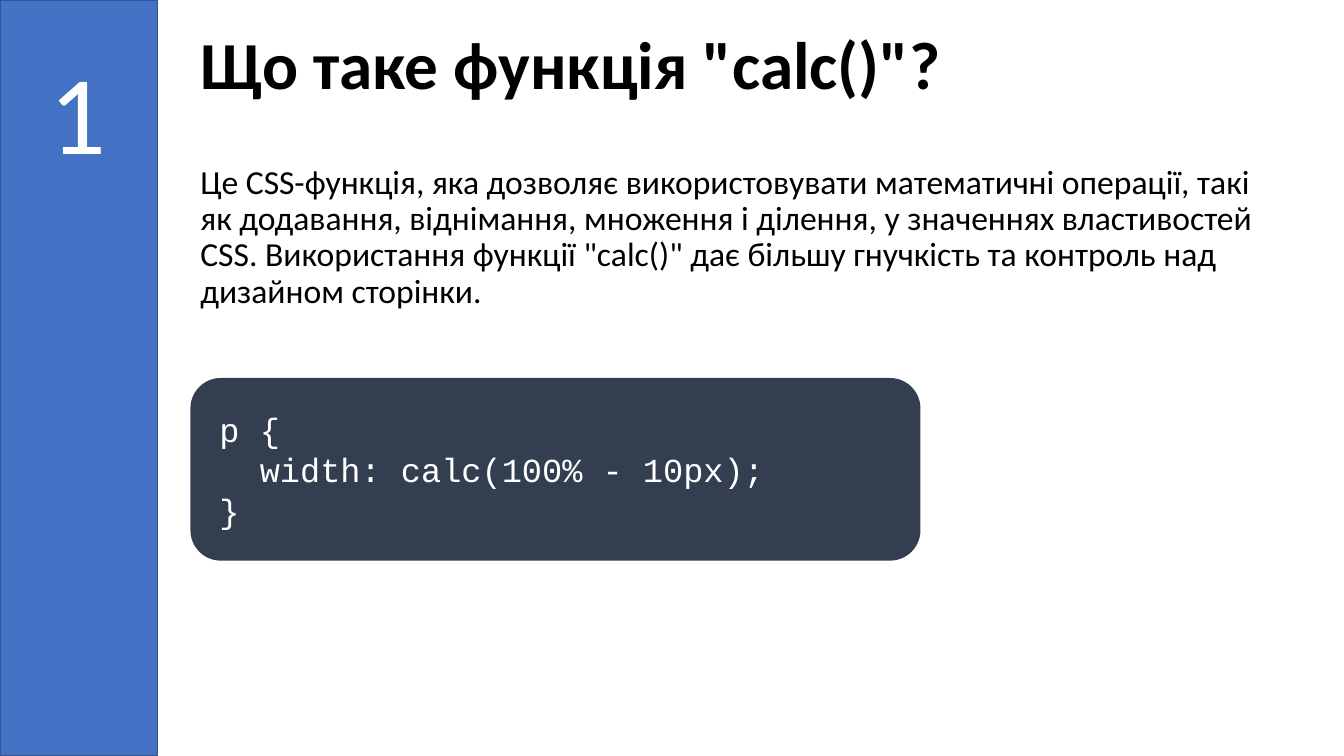
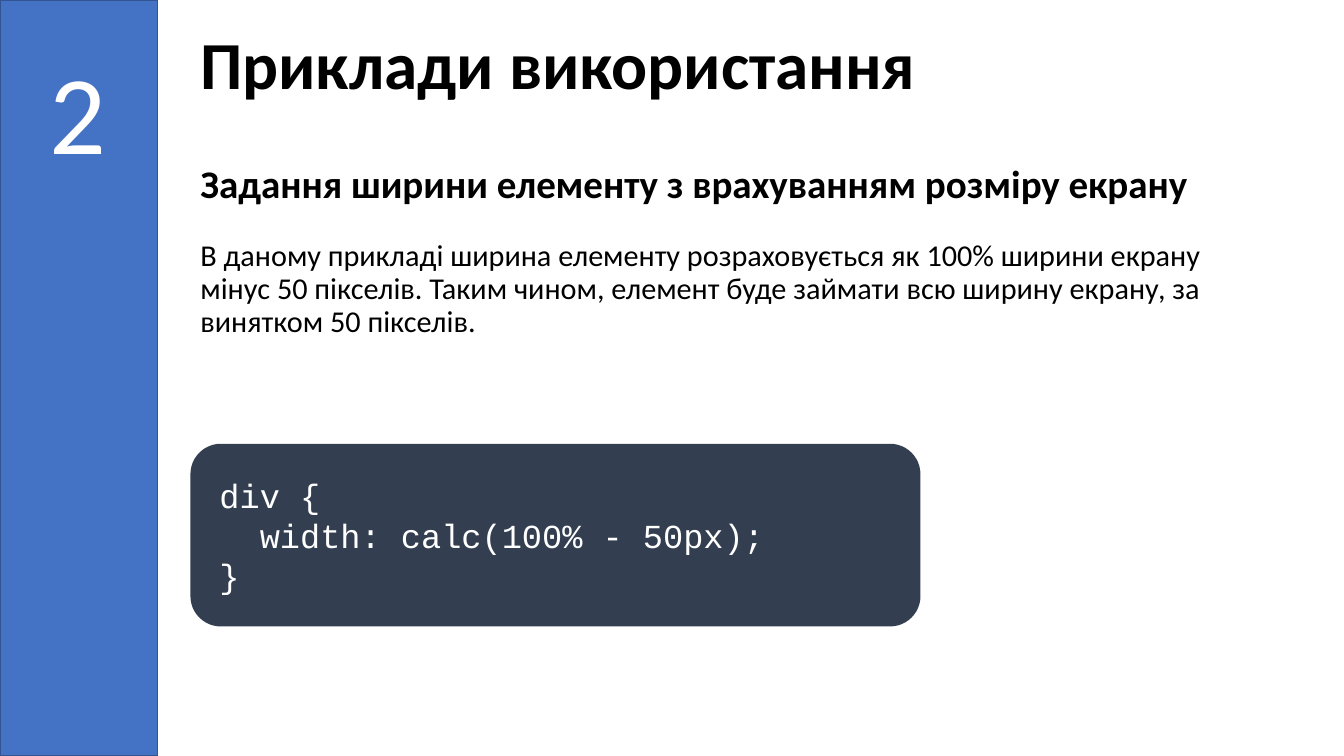
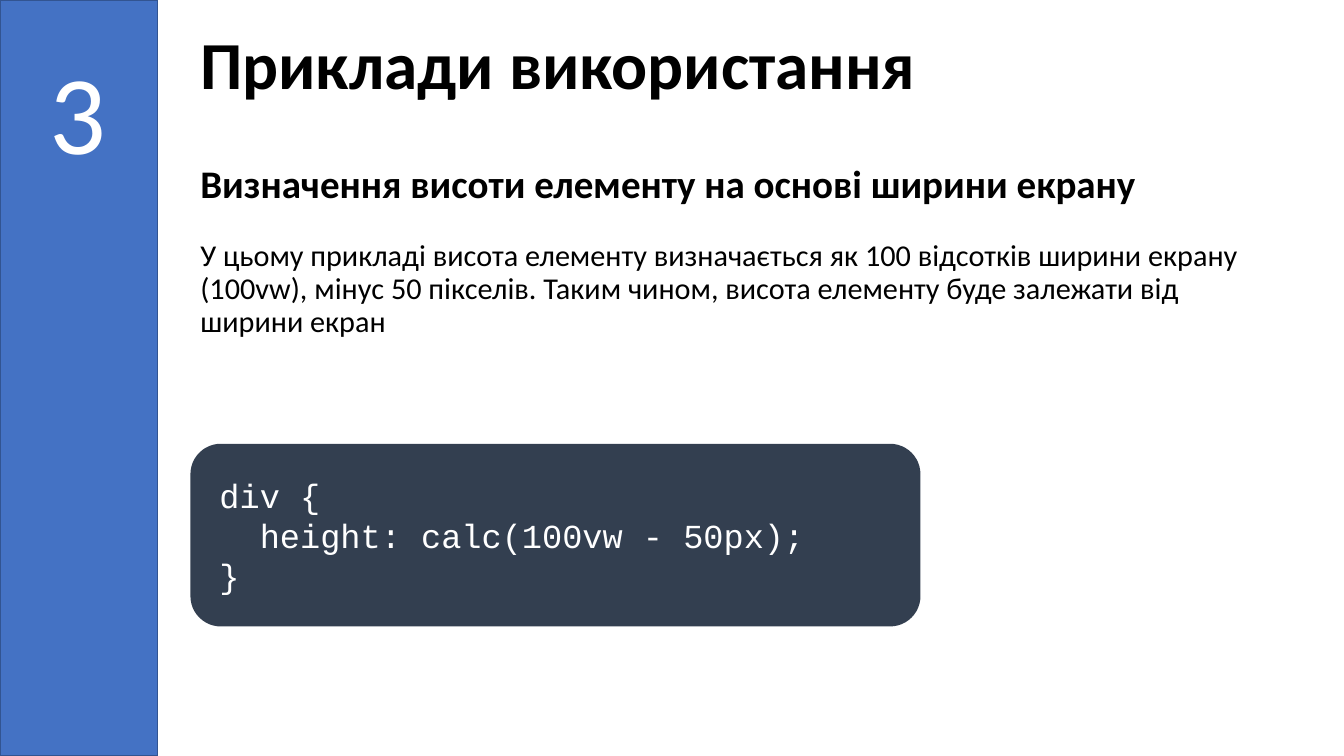
from pptx import Presentation
from pptx.dml.color import RGBColor
from pptx.enum import shapes, text
from pptx.util import Pt

# Each slide: title, optional heading, body, code as (indent level, line)
SLIDES = [
    dict(
        title='Що таке функція "calc()"?',
        heading=None,
        body="Це CSS-функція, яка дозволяє використовувати математичні операції, "
             "такі як додавання, віднімання, множення і ділення, у значеннях "
             'властивостей CSS. Використання функції "calc()" дає більшу '
             "гнучкість та контроль над дизайном сторінки.",
        code=[(0, "p {"), (1, "width: calc(100% - 10px);"), (0, "}")],
    ),
    dict(
        title="Приклади використання",
        heading="Задання ширини елементу з врахуванням розміру екрану",
        body="В даному прикладі ширина елементу розраховується як 100% ширини "
             "екрану мінус 50 пікселів. Таким чином, елемент буде займати всю "
             "ширину екрану, за винятком 50 пікселів.",
        code=[(0, "div {"), (1, "width: calc(100% - 50px);"), (0, "}")],
    ),
    dict(
        title="Приклади використання",
        heading="Визначення висоти елементу на основі ширини екрану",
        body="У цьому прикладі висота елементу визначається як 100 відсотків "
             "ширини екрану (100vw), мінус 50 пікселів. Таким чином, висота "
             "елементу буде залежати від ширини екран",
        code=[(0, "div {"), (1, "height: calc(100vw - 50px);"), (0, "}")],
    ),
]

COLORS = {"band": "4472C4", "band_line": "325491", "code": "333F50",
          "dark": "000000", "light": "FFFFFF"}
SANS, MONO = "Calibri", "Courier New"
WIDTH, HEIGHT = 960, 540
BAND_W = 112.5
LEFT, TEXT_W = 136, 782
TITLE_TOP, TITLE_H = 18.7, 95.8
BODY_TOP = TITLE_TOP + TITLE_H
CODE_W, CODE_H = 521.5, 130.5
CODE_INDENT = 28.8  # two characters at 24 pt


def rgb(name):
    """Return a named colour."""
    return RGBColor.from_string(COLORS[name])


def add_text(p, words, size, color, font=SANS, bold=False):
    """Add one formatted run to a paragraph."""
    r = p.add_run()
    r.text = words
    r.font.name, r.font.size, r.font.bold = font, Pt(size), bold
    r.font.color.rgb = rgb(color)


def add_box(s, left, top, width, height):
    """Add a wrapping text box and return its text frame."""
    tf = s.shapes.add_textbox(Pt(left), Pt(top), Pt(width), Pt(height)).text_frame
    tf.word_wrap = True
    return tf


def add_shape(s, kind, left, top, width, height, fill, line=None):
    """Add a flat filled shape, outlined only if a line colour is given."""
    sp = s.shapes.add_shape(kind, Pt(left), Pt(top), Pt(width), Pt(height))
    sp.shadow.inherit = False
    sp.fill.solid()
    sp.fill.fore_color.rgb = rgb(fill)
    if line:
        sp.line.color.rgb = rgb(line)
        sp.line.width = Pt(1)
    else:
        sp.line.fill.background()
    return sp


def add_frame(s, number, title):
    """Add the side band, slide number and title."""
    add_shape(s, shapes.MSO_SHAPE.RECTANGLE, 0, 0, BAND_W, HEIGHT, "band", "band_line")
    add_text(add_box(s, 28, 26.6, 49, 104.5).paragraphs[0], str(number), 80, "light")
    p = add_box(s, LEFT, TITLE_TOP, TEXT_W, TITLE_H).paragraphs[0]
    p.line_spacing = 0.9
    add_text(p, title, 48, "dark", bold=True)


def add_body(s, heading, body):
    """Add the explanation, under a bold heading if there is one."""
    tf = add_box(s, LEFT, BODY_TOP, TEXT_W, 145.5 if heading else 155.5)
    p = tf.paragraphs[0]
    p.line_spacing = 0.9
    if heading:
        add_text(p, heading, 27.9, "dark", bold=True)
        p = tf.add_paragraph()
        p.line_spacing = 0.9
        p.space_before = Pt(23.7)
    add_text(p, body, 21.6 if heading else 24, "dark")


def add_code(s, top, lines):
    """Add the dark rounded panel with code lines."""
    sp = add_shape(s, shapes.MSO_SHAPE.ROUNDED_RECTANGLE,
                   LEFT, top, CODE_W, CODE_H, "code")
    tf = sp.text_frame
    tf.word_wrap = True
    tf.vertical_anchor = text.MSO_ANCHOR.MIDDLE
    tf.margin_left = tf.margin_right = tf.margin_top = tf.margin_bottom = Pt(14.4)
    for i, (level, words) in enumerate(lines):
        p = tf.add_paragraph() if i else tf.paragraphs[0]
        p.alignment = text.PP_ALIGN.LEFT
        p._p.get_or_add_pPr().set("marL", str(Pt(level * CODE_INDENT)))
        add_text(p, words, 24, "light", MONO)


prs = Presentation()
prs.slide_width, prs.slide_height = Pt(WIDTH), Pt(HEIGHT)
for number, content in enumerate(SLIDES, 1):
    s = prs.slides.add_slide(prs.slide_layouts[6])
    add_frame(s, number, content["title"])
    add_body(s, content["heading"], content["body"])
    add_code(s, 317 if content["heading"] else 270, content["code"])
prs.save("out.pptx")
